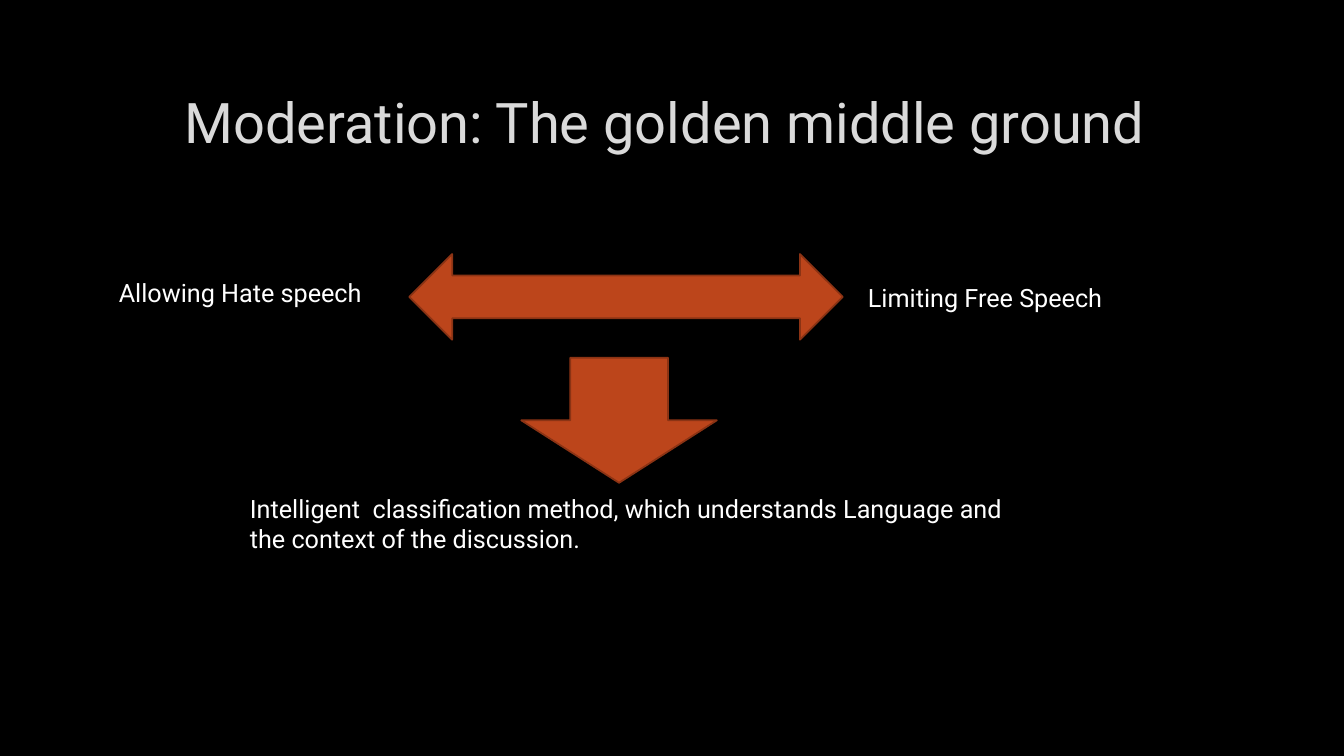
from pptx import Presentation
from pptx.dml.color import RGBColor
from pptx.enum import shapes, text
from pptx.util import Inches, Pt

BLACK = RGBColor(0x00, 0x00, 0x00)
WHITE = RGBColor(0xFF, 0xFF, 0xFF)
GREY = RGBColor(0xDA, 0xDA, 0xDA)
RUST = RGBColor(0xBC, 0x45, 0x1B)
BROWN = RGBColor(0x8B, 0x33, 0x14)


def write(frame, words, size, color):
    frame.word_wrap = True
    run = frame.paragraphs[0].add_run()
    run.text = words
    run.font.name = "Roboto"
    run.font.size = Pt(size)
    run.font.color.rgb = color


deck = Presentation()
deck.slide_width = Inches(13.33)
deck.slide_height = Inches(7.5)
slide = deck.slides.add_slide(deck.slide_layouts[5])
slide.background.fill.solid()
slide.background.fill.fore_color.rgb = BLACK

title = slide.shapes.title
title.left, title.top = Inches(1), Inches(0.67)
title.width, title.height = Inches(11.32), Inches(1.06)
frame = title.text_frame
frame.auto_size = text.MSO_AUTO_SIZE.NONE
frame.vertical_anchor = text.MSO_ANCHOR.MIDDLE
frame.paragraphs[0].alignment = text.PP_ALIGN.CENTER
write(frame, "Moderation: The golden middle ground ", 40, GREY)

kinds = shapes.MSO_SHAPE
arrows = [
    (kinds.LEFT_RIGHT_ARROW, 4.06, 2.52, 4.3, 0.85),
    (kinds.DOWN_ARROW, 5.17, 3.55, 1.94, 1.24),
]
for kind, *box in arrows:
    arrow = slide.shapes.add_shape(kind, *map(Inches, box))
    arrow.shadow.inherit = False
    arrow.fill.solid()
    arrow.fill.fore_color.rgb = RUST
    arrow.line.color.rgb = BROWN
    arrow.line.width = Pt(1.25)

labels = [
    ("Allowing Hate speech", 1.08, 2.7, 2.84, 0.4),
    ("Limiting Free Speech", 8.51, 2.75, 2.84, 0.4),
    ("Intelligent  classification method, which understands Language "
     "and the context of the discussion.", 2.38, 4.84, 7.95, 0.71),
]
for words, *box in labels:
    label = slide.shapes.add_textbox(*map(Inches, box))
    label.text_frame.auto_size = text.MSO_AUTO_SIZE.SHAPE_TO_FIT_TEXT
    write(label.text_frame, words, 18, WHITE)

deck.save("out.pptx")
